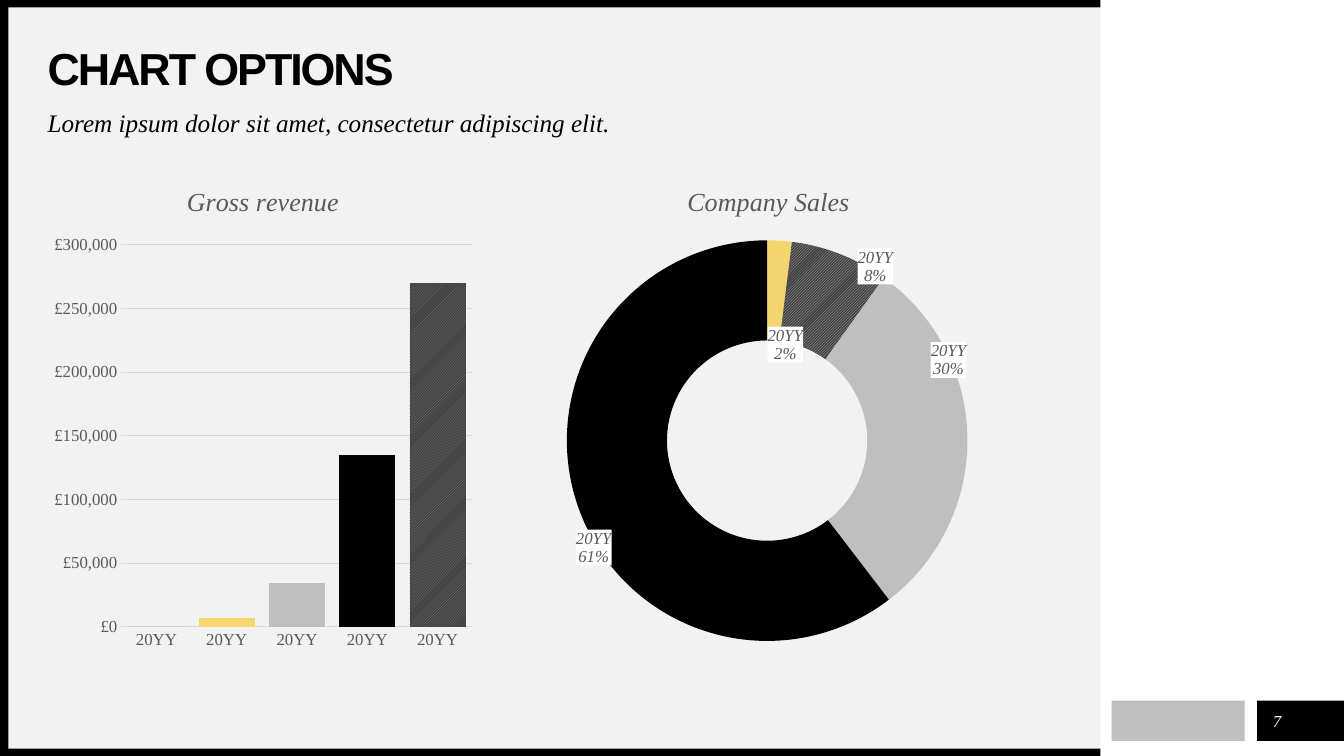
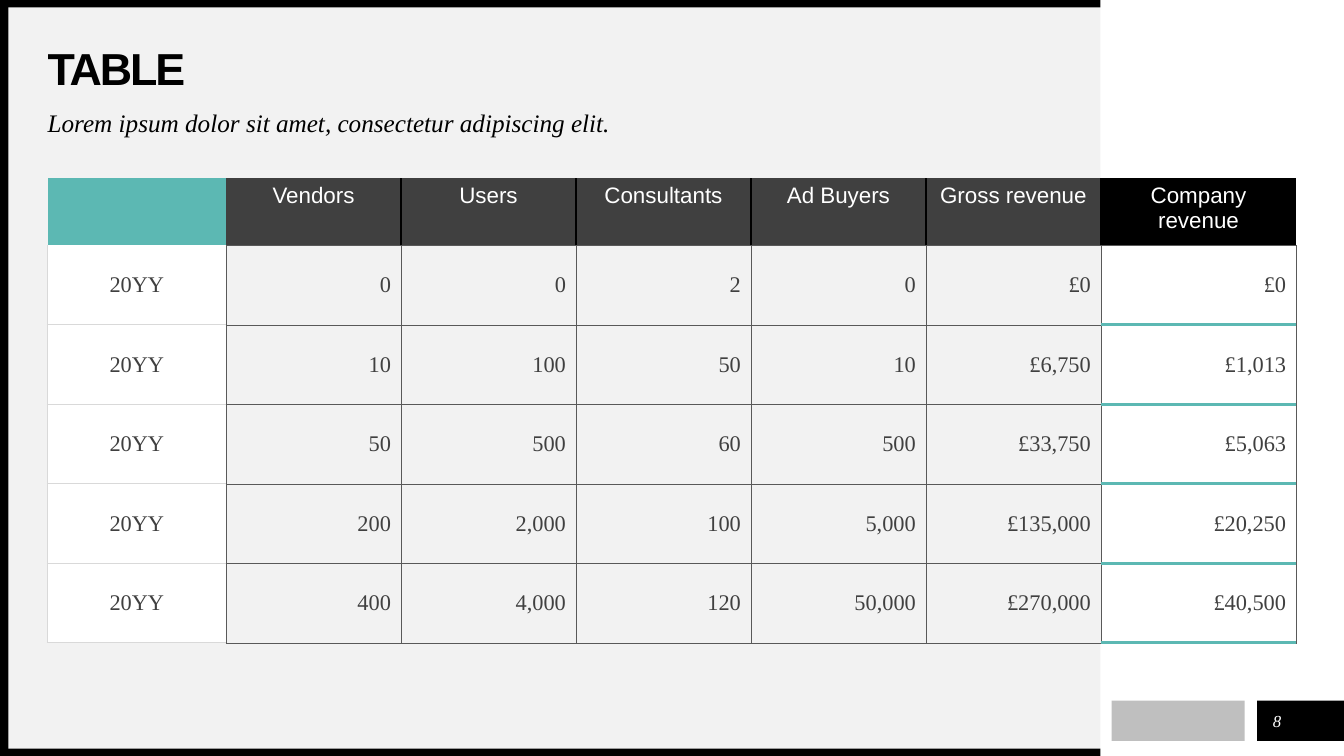
from lxml import etree
from pptx import Presentation
from pptx.chart import data as chart_data
from pptx.dml.color import RGBColor
from pptx.enum import chart as charts, dml, shapes, text
from pptx.oxml import parse_xml
from pptx.oxml import ns
from pptx.util import Pt

BLACK = RGBColor(0, 0, 0)
WHITE = RGBColor(255, 255, 255)
PANEL = RGBColor(0xF2, 0xF2, 0xF2)
RULE = RGBColor(0xD9, 0xD9, 0xD9)
SILVER = RGBColor(0xBF, 0xBF, 0xBF)
GREY = RGBColor(0x80, 0x80, 0x80)
SLATE = RGBColor(0x59, 0x59, 0x59)
CHARCOAL = RGBColor(0x40, 0x40, 0x40)
TEAL = RGBColor(0x5C, 0xB8, 0xB3)
PINK = RGBColor(0xD7, 0x81, 0x89)
YELLOW = RGBColor(0xF5, 0xD6, 0x6E)

SANS, SERIF = "Arial", "Times New Roman"
LEFT = 34
PANEL_RIGHT = 786
BAND = 5.3
SUBTITLE = "Lorem ipsum dolor sit amet, consectetur adipiscing elit."
YEARS = ["20YY"] * 5

LABEL_STYLE = f"""<c:numFmt formatCode="0&quot;%&quot;" sourceLinked="0"/>
<c:spPr><a:solidFill><a:srgbClr val="{WHITE}"/></a:solidFill></c:spPr>
<c:txPr><a:bodyPr/><a:p><a:pPr><a:defRPr sz="1200" i="1">
<a:solidFill><a:srgbClr val="{SLATE}"/></a:solidFill>
<a:latin typeface="{SERIF}"/></a:defRPr></a:pPr><a:endParaRPr/></a:p></c:txPr>
<c:showLegendKey val="0"/><c:showVal val="1"/><c:showCatName val="1"/>
<c:showSerName val="0"/><c:showPercent val="0"/><c:showBubbleSize val="0"/>
<c:separator>\n</c:separator>"""


def layout_xml(x, y, width=None, height=None):
    target = size = ""
    if width:
        target = '<c:layoutTarget val="inner"/>'
        size = f'<c:w val="{width}"/><c:h val="{height}"/>'
    return (f'<c:layout {ns.nsdecls("c")}><c:manualLayout>{target}'
            '<c:xMode val="edge"/><c:yMode val="edge"/>'
            f'<c:x val="{x}"/><c:y val="{y}"/>{size}</c:manualLayout></c:layout>')


def set_layout(element, index, *place):
    for old in element.findall(ns.qn("c:layout")):
        element.remove(old)
    element.insert(index, parse_xml(layout_xml(*place)))


def style_font(font, size, color, name=SERIF, bold=False, italic=False):
    font.size, font.name = Pt(size), name
    font.bold, font.italic = bold, italic
    font.color.rgb = color


def paint(fill, color):
    if color is None:
        fill.background()
    elif isinstance(color, RGBColor):
        fill.solid()
        fill.fore_color.rgb = color
    else:
        fill.patterned()
        fill.pattern = dml.MSO_PATTERN.DARK_UPWARD_DIAGONAL
        fill.fore_color.rgb, fill.back_color.rgb = color


def set_borders(cell, borders):
    properties = cell._tc.get_or_add_tcPr()
    for index, side in enumerate("LRTB"):
        line = etree.Element(ns.qn(f"a:ln{side}"))
        if side in borders:
            color, width = borders[side]
            line.set("w", str(Pt(width)))
            fill = etree.SubElement(line, ns.qn("a:solidFill"))
            etree.SubElement(fill, ns.qn("a:srgbClr"), val=str(color))
        else:
            etree.SubElement(line, ns.qn("a:noFill"))
        properties.insert(index, line)


class ReportDeck:
    def __init__(self):
        self.deck = Presentation()
        self.deck.slide_width, self.deck.slide_height = Pt(960), Pt(540)
        self.page = None

    def add_page(self, title, number):
        self.page = self.deck.slides.add_slide(self.deck.slide_layouts[6])
        self.rectangle(6, 5, PANEL_RIGHT - 6, 530, PANEL)
        self.rectangle(898, 500.4, 62, 28.8, BLACK)
        self.rectangle(794, 500.4, 95, 28.8, SILVER)
        for top in (0, 540 - BAND):
            self.rectangle(0, top, PANEL_RIGHT, BAND, BLACK)
        self.rectangle(0, 0, 6, 540, BLACK)
        heading = self.label(title, LEFT, 34, 724, 34, 32, BLACK, SANS, bold=True, middle=True)
        heading.line_spacing = 0.9
        heading.runs[0].font._element.set("spc", "-150")
        self.label(SUBTITLE, LEFT, 79.2, 724, 28, 18, BLACK, italic=True).line_spacing = 0.9
        para = self.label(str(number), 901.5, 504, 21.6, 21.6, 12, WHITE, italic=True, middle=True)
        para.alignment = text.PP_ALIGN.CENTER

    def rectangle(self, left, top, width, height, color):
        shape = self.page.shapes.add_shape(
            shapes.MSO_SHAPE.RECTANGLE, Pt(left), Pt(top), Pt(width), Pt(height))
        shape.shadow.inherit = False
        paint(shape.fill, color)
        shape.line.fill.background()

    def label(self, words, left, top, width, height, size, color,
              name=SERIF, bold=False, italic=False, middle=False):
        box = self.page.shapes.add_textbox(Pt(left), Pt(top), Pt(width), Pt(height))
        frame = box.text_frame
        frame.word_wrap = True
        frame.margin_left = frame.margin_right = frame.margin_top = frame.margin_bottom = 0
        frame.text = words
        if middle:
            frame.vertical_anchor = text.MSO_ANCHOR.MIDDLE
        para = frame.paragraphs[0]
        style_font(para.runs[0].font, size, color, name, bold, italic)
        return para

    def chart(self, kind, title, values, colors, left, width, title_place, plot_place):
        source = chart_data.CategoryChartData()
        source.categories = YEARS
        source.add_series("Series 1", values)
        chart = self.page.shapes.add_chart(
            kind, Pt(left), Pt(118.8), Pt(width), Pt(350), source).chart
        style_font(chart.font, 12, SLATE)
        chart.has_legend = False
        chart.has_title = True
        frame = chart.chart_title.text_frame
        frame.text = title
        style_font(frame.paragraphs[0].runs[0].font, 18.6, SLATE, italic=True)
        set_layout(chart.chart_title._element, 1, *title_place)
        set_layout(chart._chartSpace.chart.plotArea, 0, *plot_place)
        series = chart.plots[0].series[0]
        for index, color in enumerate(colors):
            paint(series.points[index].format.fill, color)
        return chart

    def column_chart(self, title, values, colors):
        chart = self.chart(charts.XL_CHART_TYPE.COLUMN_CLUSTERED, title, values, colors,
                           LEFT, 310, (0.31, 0.03), (0.17, 0.16, 0.81, 0.78))
        plot = chart.plots[0]
        plot.gap_width = 25
        plot.vary_by_categories = False
        value_axis, category_axis = chart.value_axis, chart.category_axis
        for axis in (value_axis, category_axis):
            axis.major_tick_mark = axis.minor_tick_mark = charts.XL_TICK_MARK.NONE
            style_font(axis.tick_labels.font, 12, SLATE)
        value_axis.minimum_scale, value_axis.maximum_scale = 0, 300000
        value_axis.major_unit = 50000
        value_axis.tick_labels.number_format = '"£"#,##0'
        value_axis.tick_labels.number_format_is_linked = False
        value_axis.format.line.fill.background()
        category_axis.has_major_gridlines = False
        for line in (value_axis.major_gridlines.format.line, category_axis.format.line):
            line.color.rgb, line.width = RULE, Pt(0.75)

    def doughnut_chart(self, title, values, colors, label_shifts):
        chart = self.chart(charts.XL_CHART_TYPE.DOUGHNUT, title, values, colors,
                           389, 318, (0.31, 0.03), (0.05, 0.15, 0.9, 0.82))
        plot = chart.plots[0]
        plot.vary_by_categories = True
        plot._element.find(ns.qn("c:holeSize")).set("val", "90")
        points = '<c:dLbl><c:idx val="0"/><c:delete val="1"/></c:dLbl>'
        for index, (x, y) in enumerate(label_shifts, 1):
            points += (f'<c:dLbl><c:idx val="{index}"/><c:layout><c:manualLayout>'
                       f'<c:x val="{x}"/><c:y val="{y}"/></c:manualLayout></c:layout>'
                       f'{LABEL_STYLE}</c:dLbl>')
        labels = parse_xml(f'<c:dLbls {ns.nsdecls("c", "a")}>{points}{LABEL_STYLE}'
                           '<c:showLeaderLines val="0"/></c:dLbls>')
        plot.series[0]._element.find(ns.qn("c:cat")).addprevious(labels)

    def table(self, rows, widths, heights):
        table = self.page.shapes.add_table(
            len(rows), len(widths), Pt(LEFT), Pt(127.2),
            Pt(sum(widths)), Pt(sum(heights))).table
        table.first_row = table.horz_banding = False
        for column, width in zip(table.columns, widths):
            column.width = Pt(width)
        for row, height in zip(table.rows, heights):
            row.height = Pt(height)
        last = len(widths) - 1
        for r, values in enumerate(rows):
            for c, words in enumerate(values):
                self.cell(table.cell(r, c), words, r, c, last)

    def cell(self, cell, words, r, c, last):
        thin, pale, dark, accent = (SLATE, 0.25), (RULE, 1), (BLACK, 1), (TEAL, 2.25)
        name, color, align = SERIF, CHARCOAL, text.PP_ALIGN.RIGHT
        borders = dict.fromkeys("LRTB", thin)
        fill = PANEL if c == last - 1 else None
        if r == 0:
            name, color, align = SANS, WHITE, text.PP_ALIGN.CENTER
            fill = {0: TEAL, last: BLACK}.get(c, CHARCOAL)
            borders = {"B": thin}
            if c > 1:
                borders["L"] = dark
            if c < last:
                borders["R"] = dark
            if c == 0:
                borders = {}
        elif c == 0:
            fill, align = WHITE, text.PP_ALIGN.CENTER
            borders = {"L": pale, "R": thin, "B": pale}
            if r > 1:
                borders["T"] = pale
        elif c == last:
            borders["B"] = accent
            if r > 1:
                borders["T"] = accent
        paint(cell.fill, fill)
        set_borders(cell, borders)
        cell.vertical_anchor = text.MSO_ANCHOR.MIDDLE if r else text.MSO_ANCHOR.TOP
        cell.text_frame.text = words
        para = cell.text_frame.paragraphs[0]
        para.alignment = align
        for span in para.runs:
            style_font(span.font, 16, color, name)


def main():
    report = ReportDeck()

    report.add_page("CHART OPTIONS", 7)
    report.column_chart("Gross revenue", [0, 7000, 34000, 135000, 270000],
                        [PINK, YELLOW, SILVER, BLACK, (GREY, CHARCOAL)])
    report.doughnut_chart("Company Sales", [0, 2, 8, 30, 61],
                          [PINK, YELLOW, (SILVER, CHARCOAL), SILVER, BLACK],
                          [(0.02, 0.11), (0.12, -0.07), (0.07, -0.16), (-0.07, 0.12)])

    report.add_page("TABLE", 8)
    report.table([
        ["", "Vendors", "Users", "Consultants", "Ad Buyers", "Gross revenue", "Company revenue"],
        ["20YY", "0", "0", "2", "0", "£0", "£0"],
        ["20YY", "10", "100", "50", "10", "£6,750", "£1,013"],
        ["20YY", "50", "500", "60", "500", "£33,750", "£5,063"],
        ["20YY", "200", "2,000", "100", "5,000", "£135,000", "£20,250"],
        ["20YY", "400", "4,000", "120", "50,000", "£270,000", "£40,500"],
    ], [127.5] + [125] * 5 + [139.5], [48] + [56.8] * 5)

    report.deck.save("out.pptx")


if __name__ == "__main__":
    main()
